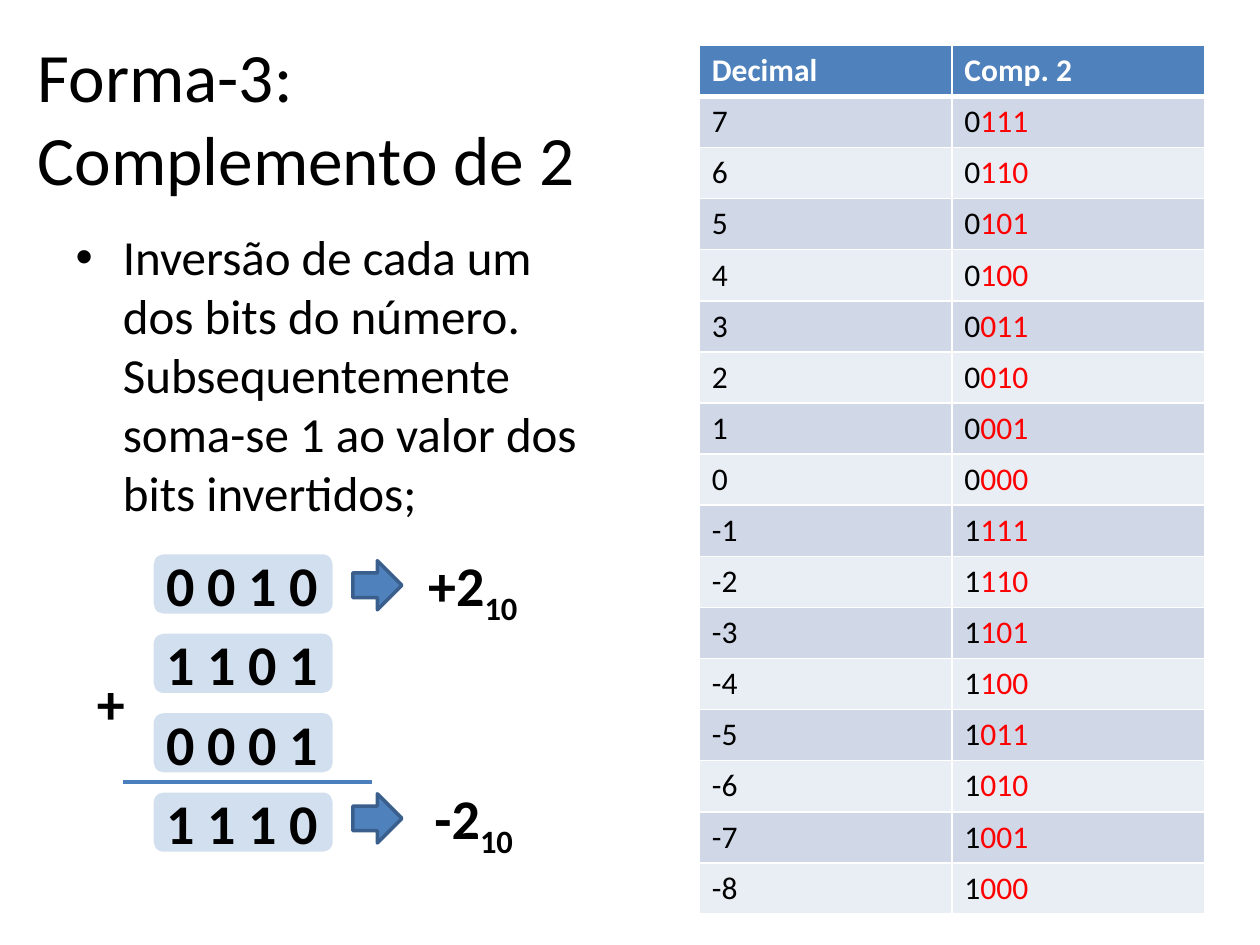
from dataclasses import dataclass

from lxml import etree
from pptx import Presentation
from pptx.dml.color import RGBColor
from pptx.enum.shapes import MSO_CONNECTOR, MSO_SHAPE
from pptx.enum.text import MSO_ANCHOR, MSO_AUTO_SIZE, PP_ALIGN
from pptx.oxml.ns import qn
from pptx.util import Inches, Pt

ROUNDED = MSO_SHAPE.ROUNDED_RECTANGLE
ARROW = MSO_SHAPE.RIGHT_ARROW
STRAIGHT = MSO_CONNECTOR.STRAIGHT
MIDDLE = MSO_ANCHOR.MIDDLE
NO_FIT = MSO_AUTO_SIZE.NONE
LEFT = PP_ALIGN.LEFT

FONT = "Calibri"
COLORS = {
    "text": "000000",
    "white": "FFFFFF",
    "bits": "FF0000",
    "accent": "4F81BD",
    "arrow_line": "3A5F8C",
    "sum_line": "4B7EBC",
    "odd": "D0D8E8",
    "even": "E9EDF4",
}

BITS_LEFT, BITS_TOP, BITS_WIDTH, BITS_PITCH = 1.22, 4.32, 1.42, 0.63
PANEL_HEIGHT, PANEL_OFFSET, TEXT_HEIGHT = 0.47, 0.08, 0.64
ARROW_LEFT, ARROW_SIZE, ARROW_OFFSET = 2.8, 0.39, 0.13
COL_WIDTH, ROW_HEIGHT = 2.005, 0.4


@dataclass
class Result:
    value: str
    left: float
    top: float
    width: float


BIT_ROWS = ["0 0 1 0", "1 1 0 1", "0 0 0 1", "1 1 1 0"]
RESULTS = [Result("+2", 3.3, 4.32, 1.15), Result("-2", 3.35, 6.17, 0.87)]


def rgb(name: str) -> RGBColor:
    return RGBColor.from_string(COLORS[name])


def box(*lengths: float) -> list:
    return [Inches(n) for n in lengths]


def style(r, size: float, color: str = "text", bold: bool = False) -> None:
    r.font.name = FONT
    r.font.size = Pt(size)
    r.font.bold = bold
    r.font.color.rgb = rgb(color)


def add_run(p, text: str, size: float, color: str = "text", bold: bool = False):
    r = p.add_run()
    r.text = text
    style(r, size, color, bold)
    return r


def add_label(shapes, text: str, left: float, top: float, width: float, wrap: bool = True):
    s = shapes.add_textbox(*box(left, top, width, TEXT_HEIGHT))
    s.text_frame.word_wrap = wrap
    p = s.text_frame.paragraphs[0]
    add_run(p, text, 32, bold=True)
    return p


def fill_placeholder(s, text: str, size: float, *lengths: float) -> None:
    s.left, s.top, s.width, s.height = box(*lengths)
    tf = s.text_frame
    tf.text = text
    tf.auto_size = NO_FIT
    tf.paragraphs[0].alignment = LEFT
    style(tf.paragraphs[0].runs[0], size)


def set_borders(cell, bottom: float) -> None:
    props = cell._tc.get_or_add_tcPr()
    for i, (side, width) in enumerate(zip("LRTB", (1, 1, 1, bottom))):
        ln = etree.Element(qn(f"a:ln{side}"), w=str(Pt(width)))
        solid = etree.SubElement(ln, qn("a:solidFill"))
        etree.SubElement(solid, qn("a:srgbClr"), val=COLORS["white"])
        props.insert(i, ln)


def format_cell(cell, fill: str, bottom: float = 1) -> None:
    cell.fill.solid()
    cell.fill.fore_color.rgb = rgb(fill)
    set_borders(cell, bottom)


def add_code_table(shapes) -> None:
    values = range(7, -9, -1)
    rows = len(values) + 1
    frame = shapes.add_table(rows, 2, *box(5.55, 0.36, 2 * COL_WIDTH, rows * ROW_HEIGHT))
    table = frame.table
    for cell, text in zip(table.rows[0].cells, ("Decimal", "Comp. 2")):
        add_run(cell.text_frame.paragraphs[0], text, 18, "white", True)
        format_cell(cell, "accent", 3)
    for i, value in enumerate(values, 1):
        decimal, code = table.rows[i].cells
        bits = f"{value % 16:04b}"
        add_run(decimal.text_frame.paragraphs[0], str(value), 18)
        p = code.text_frame.paragraphs[0]
        add_run(p, bits[0], 18)
        add_run(p, bits[1:], 18, "bits")
        for cell in (decimal, code):
            format_cell(cell, "odd" if i % 2 else "even")


def add_bits(shapes, text: str, row: int) -> None:
    top = BITS_TOP + row * BITS_PITCH
    group = shapes.add_group_shape().shapes
    s = group.add_shape(ROUNDED, *box(BITS_LEFT, top + PANEL_OFFSET, BITS_WIDTH, PANEL_HEIGHT))
    s.shadow.inherit = False
    s.fill.solid()
    s.fill.fore_color.rgb = rgb("accent")
    color = s._element.spPr.find(qn("a:solidFill"))[0]
    etree.SubElement(color, qn("a:alpha"), val="25000")
    s.line.fill.background()
    add_label(group, text, BITS_LEFT, top, BITS_WIDTH)


def add_result(shapes, result: Result) -> None:
    s = shapes.add_shape(ARROW, *box(ARROW_LEFT, result.top + ARROW_OFFSET, ARROW_SIZE, ARROW_SIZE))
    s.shadow.inherit = False
    s.fill.solid()
    s.fill.fore_color.rgb = rgb("accent")
    s.line.color.rgb = rgb("arrow_line")
    s.line.width = Pt(2)
    p = add_label(shapes, result.value, result.left, result.top, result.width)
    base = add_run(p, "10 ", 32, bold=True)
    base._r.get_or_add_rPr().set("baseline", "-25000")


def add_sum_line(shapes) -> None:
    s = shapes.add_connector(STRAIGHT, *box(0.98, 6.21, 2.95, 6.21))
    s.line.color.rgb = rgb("sum_line")
    s.line.width = Pt(2.25)
    etree.SubElement(s._element.spPr, qn("a:effectLst"))


def main() -> None:
    prs = Presentation()
    prs.slide_width, prs.slide_height = box(10, 7.5)
    slide = prs.slides.add_slide(prs.slide_layouts[1])
    shapes = slide.shapes
    title, body = slide.placeholders
    fill_placeholder(title, "Forma-3: Complemento de 2", 39.6, 0.2, 0.3, 4.57, 1.25)
    title.text_frame.vertical_anchor = MIDDLE
    fill_placeholder(
        body,
        "Inversão de cada um dos bits do número. "
        "Subsequentemente soma-se 1 ao valor dos bits invertidos;",
        28, 0.5, 1.75, 4.42, 2.63,
    )
    add_code_table(shapes)
    for row, bits in enumerate(BIT_ROWS):
        add_bits(shapes, bits, row)
    for result in RESULTS:
        add_result(shapes, result)
    add_label(shapes, "+", 0.67, 5.26, 0.43, wrap=False)
    add_sum_line(shapes)
    prs.save("out.pptx")


main()
